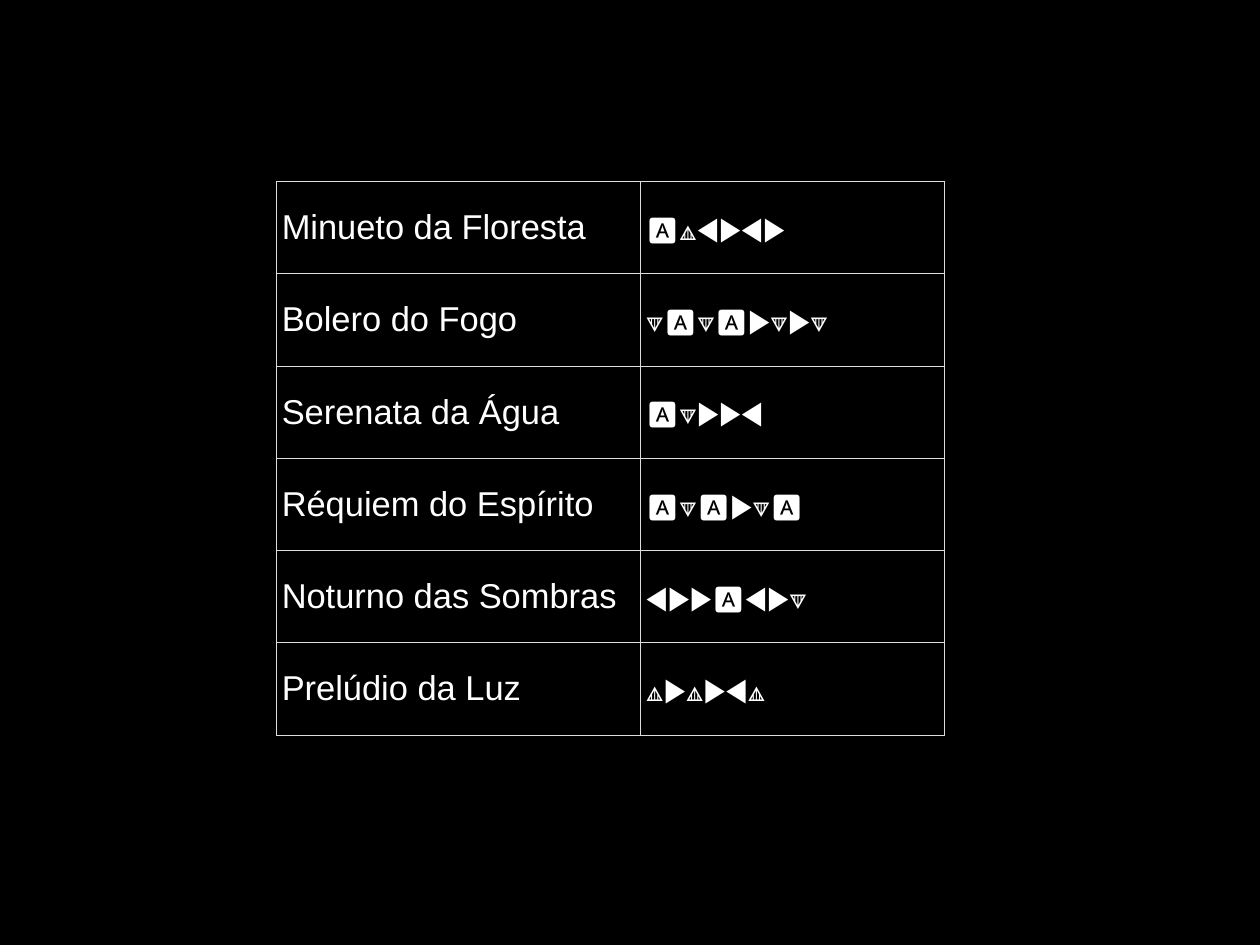
"""Builds a slide with a table of songs and the buttons that play them."""
import pptx
import pptx.dml.color
import pptx.enum.text
import pptx.oxml
import pptx.oxml.ns
import pptx.util

SONGS = [
    ("Minueto da Floresta", "🅰🔼◀️▶️◀️▶️"),
    ("Bolero do Fogo", "🔽🅰🔽🅰▶️🔽▶️🔽"),
    ("Serenata da Água", "🅰🔽▶️▶️◀️"),
    ("Réquiem do Espírito", "🅰🔽🅰▶️🔽🅰"),
    ("Noturno das Sombras", "◀️▶️▶️🅰◀️▶️🔽"),
    ("Prelúdio da Luz", "🔼▶️🔼▶️◀️🔼"),
]
FONTS = [("Arial", 28), ("Lato", 27)]
WIDTHS = [296, 247]
LEFT, TOP, ROW = 224.5, 147.5, 75
INSET = 4.5
BLACK, WHITE, GRAY = "000000", "FFFFFF", "DDDDDD"

Pt = pptx.util.Pt


def paint(fill, hue):
    fill.solid()
    fill.fore_color.rgb = pptx.dml.color.RGBColor.from_string(hue)


def frame(cell):
    props = cell._tc.get_or_add_tcPr()
    for spot, side in enumerate("LRTB"):
        line = pptx.oxml.parse_xml(
            f'<a:ln{side} {pptx.oxml.ns.nsdecls("a")} w="{Pt(0.75)}">'
            f'<a:solidFill><a:srgbClr val="{GRAY}"/></a:solidFill></a:ln{side}>')
        props.insert(spot, line)


def write(cell, text, font, size):
    cell.text = text
    cell.vertical_anchor = pptx.enum.text.MSO_ANCHOR.MIDDLE
    cell.margin_left = cell.margin_right = Pt(INSET)
    cell.margin_top = cell.margin_bottom = Pt(INSET)
    style = cell.text_frame.paragraphs[0].font
    style.name, style.size = font, Pt(size)
    paint(style.fill, WHITE)
    paint(cell.fill, BLACK)
    frame(cell)


def main():
    deck = pptx.Presentation()
    deck.slide_width, deck.slide_height = Pt(1024), Pt(768)
    slide = deck.slides.add_slide(deck.slide_layouts[6])
    paint(slide.background.fill, BLACK)
    table = slide.shapes.add_table(
        len(SONGS), len(WIDTHS), Pt(LEFT), Pt(TOP),
        Pt(sum(WIDTHS)), Pt(ROW * len(SONGS))).table
    table.first_row = table.horz_banding = False
    for column, width in zip(table.columns, WIDTHS):
        column.width = Pt(width)
    for row, song in zip(table.rows, SONGS):
        row.height = Pt(ROW)
        for cell, text, (font, size) in zip(row.cells, song, FONTS):
            write(cell, text, font, size)
    deck.save("out.pptx")


if __name__ == "__main__":
    main()
